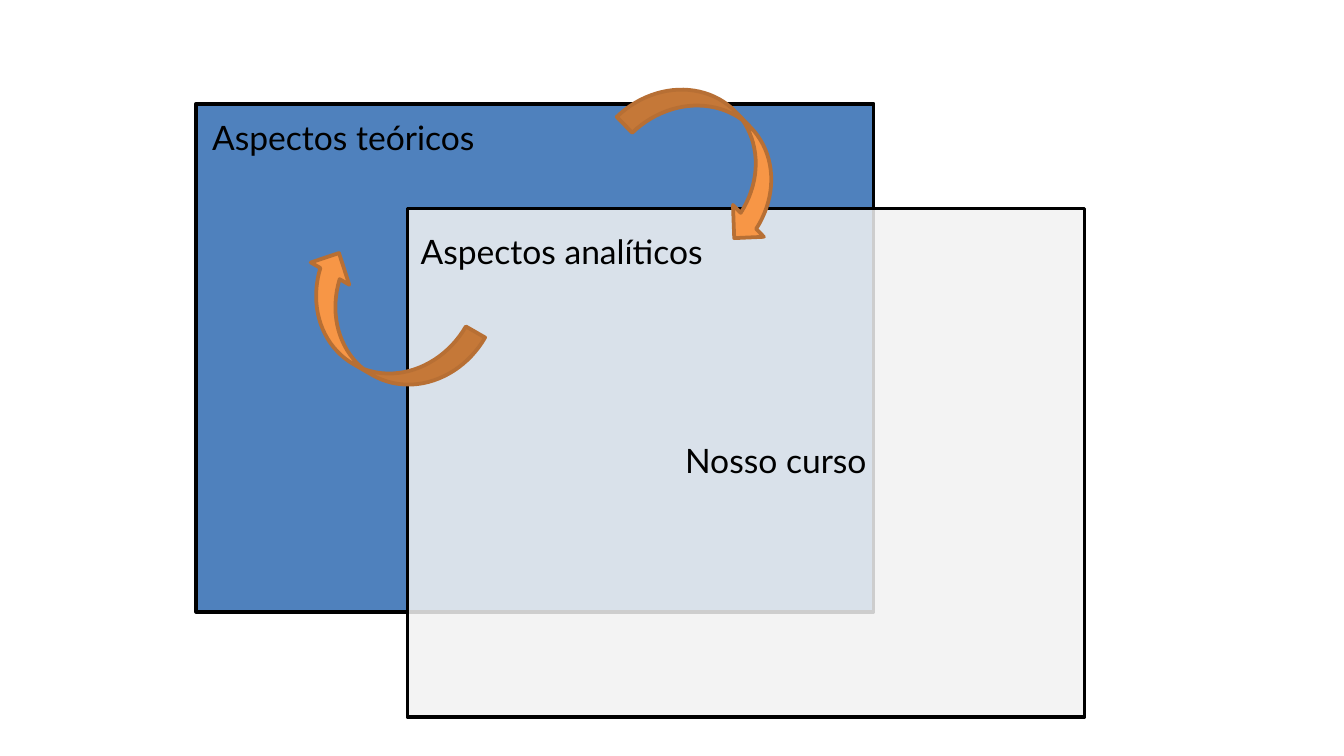
import pptx
import pptx.dml.color
import pptx.enum.shapes
import pptx.enum.text
import pptx.oxml
import pptx.oxml.ns
import pptx.util

Cm = pptx.util.Cm
Kind = pptx.enum.shapes.MSO_SHAPE
HUES = {"ink": "000000", "blue": "4F81BD", "gray": "F2F2F2",
        "orange": "F79646", "rust": "B76F34"}


class Sketch:
    """Hold the style and the current slide, and draw each kind of element."""

    def __init__(self, slide):
        self.slide = slide
        self.font = {"name": "Lato", "size": pptx.util.Pt(18)}
        self.frame = {"word_wrap": True,
                      "vertical_anchor": pptx.enum.text.MSO_ANCHOR.TOP}
        self.line = pptx.util.Pt(2)

    def paint(self, fill, hue):
        fill.solid()
        fill.fore_color.rgb = pptx.dml.color.RGBColor.from_string(HUES[hue])

    def shape(self, kind, box, fill, edge):
        item = self.slide.shapes.add_shape(kind, *map(Cm, box))
        item.shadow.inherit = False
        self.paint(item.fill, fill)
        self.paint(item.line.fill, edge)
        item.line.width = self.line
        return item

    def panel(self, left, top, fill, alpha=100):
        item = self.shape(Kind.RECTANGLE, (left, top, 12.8, 9.6), fill, "ink")
        if alpha < 100:
            tone = item.fill._xPr.find(".//" + pptx.oxml.ns.qn("a:srgbClr"))
            node = pptx.oxml.parse_xml(
                f'<a:alpha {pptx.oxml.ns.nsdecls("a")} val="{alpha * 1000}"/>')
            tone.append(node)

    def arrow(self, left, top, turn):
        box = (left, top, 3.61, 1.68)
        item = self.shape(Kind.CURVED_DOWN_ARROW, box, "orange", "rust")
        item.rotation = turn

    def label(self, text, left, top, width):
        box = self.slide.shapes.add_textbox(*map(Cm, (left, top, width, 2.54)))
        for key, value in self.frame.items():
            setattr(box.text_frame, key, value)
        run = box.text_frame.paragraphs[0].add_run()
        run.text = text
        for key, value in self.font.items():
            setattr(run.font, key, value)
        self.paint(run.font.fill, "ink")


def main():
    deck = pptx.Presentation()
    deck.slide_width, deck.slide_height = Cm(25.4), Cm(14.28)
    art = Sketch(deck.slides.add_slide(deck.slide_layouts[6]))
    art.panel(3.71, 1.96, "blue")
    art.panel(7.7, 3.94, "gray", 85)
    art.label("Aspectos teóricos", 3.76, 2.08, 6)
    art.label("Aspectos analíticos", 7.7, 4.24, 6)
    art.arrow(11.71, 2.08, 45.9)
    art.arrow(5.38, 5.36, 210)
    art.label("Nosso curso", 12.7, 8.18, 5.2)
    deck.save("out.pptx")


if __name__ == "__main__":
    main()
